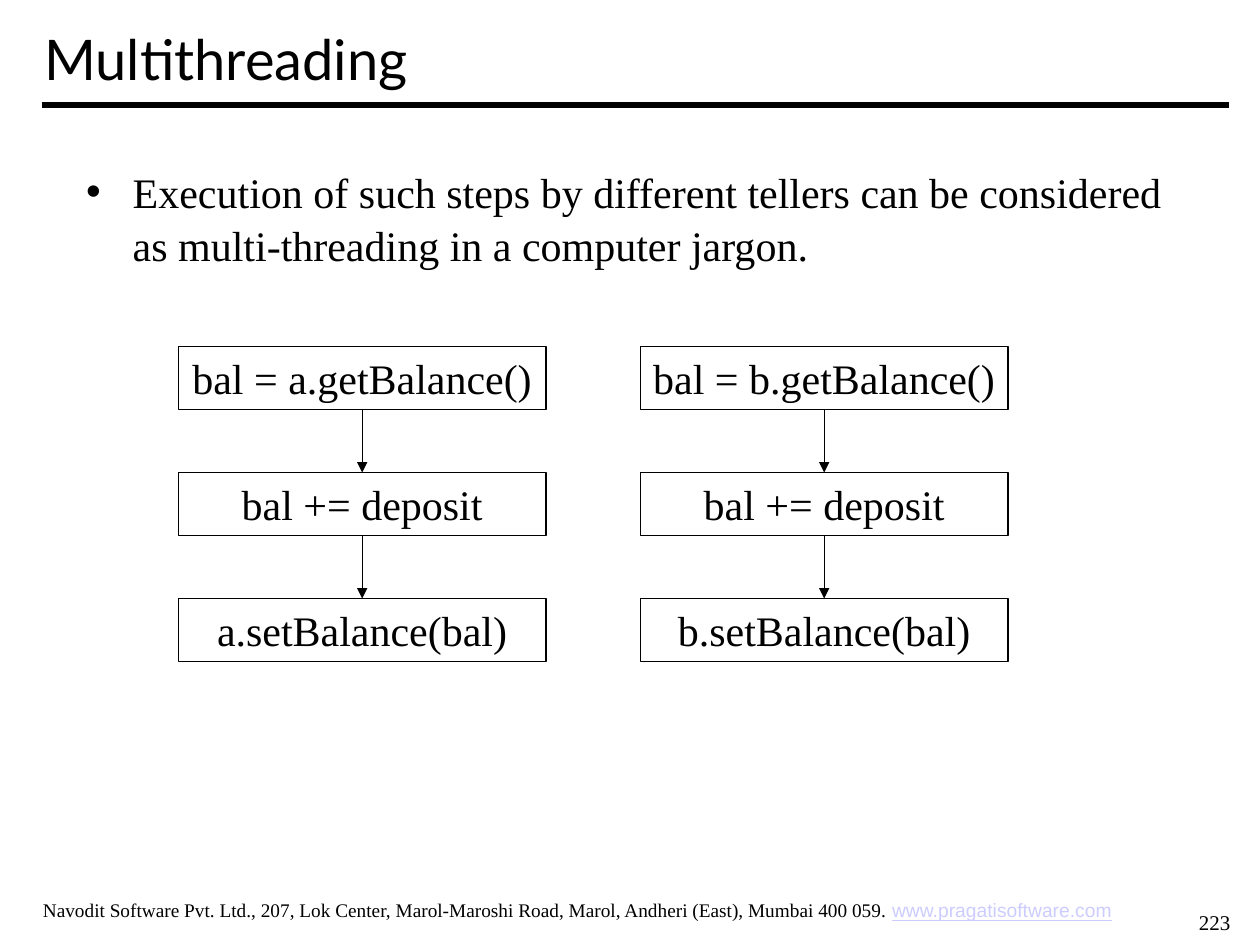
"""Build the Multithreading slide with two columns of account steps."""
from lxml import etree
from pptx import Presentation
from pptx.dml.color import RGBColor
from pptx.enum.shapes import MSO_CONNECTOR, MSO_SHAPE
from pptx.enum.text import MSO_ANCHOR, MSO_AUTO_SIZE, PP_ALIGN
from pptx.oxml.ns import qn
from pptx.util import Inches, Pt

STRAIGHT, RECT = MSO_CONNECTOR.STRAIGHT, MSO_SHAPE.RECTANGLE
MIDDLE, TOP = MSO_ANCHOR.MIDDLE, MSO_ANCHOR.TOP
LEFT, CENTER = PP_ALIGN.LEFT, PP_ALIGN.CENTER
NO_FIT = MSO_AUTO_SIZE.NONE

THEME = {
    "ink": RGBColor(0, 0, 0), "paper": RGBColor(255, 255, 255),
    "link": RGBColor(0xCC, 0xCC, 0xFF),
    "heading": "Lato", "text": "Times New Roman", "web": "Arial",
    "title": Pt(32), "body": Pt(24), "number": Pt(12), "footer": Pt(11),
    "rule": Pt(3), "thin": Pt(0.75),
}

prs = Presentation()
prs.slide_width, prs.slide_height = Inches(10), Inches(7.5)
U = prs.slide_width // 120
s = prs.slides.add_slide(prs.slide_layouts[1])


def write(sp, text, size, font="text", align=LEFT, anchor=TOP, wrap=True):
    tf = sp.text_frame
    tf.text = text
    tf.auto_size, tf.word_wrap, tf.vertical_anchor = NO_FIT, wrap, anchor
    p = tf.paragraphs[0]
    p.alignment, p.space_before = align, Pt(0)
    f = p.runs[0].font
    f.name, f.size, f.color.rgb = THEME[font], THEME[size], THEME["ink"]
    return p


def add_line(x1, y1, x2, y2, weight):
    ends = [int(v * U) for v in (x1, y1, x2, y2)]
    line = s.shapes.add_connector(STRAIGHT, *ends)
    line.line.color.rgb, line.line.width = THEME["ink"], THEME[weight]
    etree.SubElement(line._element.spPr, qn("a:effectLst"))
    return line


add_line(4, 10, 117, 10, "rule")

footer = s.shapes.add_textbox(0, 85 * U, 110 * U, int(3.5 * U))
p = write(footer, "Navodit Software Pvt. Ltd., 207, Lok Center, Marol-Maroshi Road, "
          "Marol, Andheri (East), Mumbai 400 059. ", "footer", align=CENTER)
r = p.add_run()
r.text = "www.pragatisoftware.com"
r.font.name, r.font.size, r.font.underline = THEME["web"], THEME["footer"], True
r.font.color.rgb = THEME["link"]

number = s.shapes.add_textbox(113 * U, 86 * U, int(6.5 * U), int(3.6 * U))
write(number, "223", "number")

title, body = s.placeholders
title.left, title.top, title.width, title.height = 3 * U, 0, 114 * U, 11 * U
write(title, "Multithreading", "title", "heading", anchor=MIDDLE)

body.left, body.top, body.width, body.height = 7 * U, 15 * U, 106 * U, 69 * U
p = write(body, "Execution of such steps by different tellers can be considered "
          "as multi-threading in a computer jargon.", "body")
p.line_spacing = 1.05
pPr = p._p.get_or_add_pPr()
pPr.set("marL", str(Inches(0.37)))
pPr.set("indent", str(-Inches(0.37)))
etree.SubElement(pPr, qn("a:buChar")).set("char", "•")

for account, x in (("a", 17), ("b", 61)):
    steps = (f"bal = {account}.getBalance()", "bal += deposit",
             f"{account}.setBalance(bal)")
    above = None
    for row, step in enumerate(steps):
        y = 33 + 12 * row
        box = s.shapes.add_shape(RECT, x * U, y * U, 35 * U, 6 * U)
        box.shadow.inherit = False
        box.fill.solid()
        box.fill.fore_color.rgb = THEME["paper"]
        box.line.color.rgb, box.line.width = THEME["ink"], THEME["thin"]
        write(box, step, "body", align=CENTER, anchor=MIDDLE, wrap=False)
        if above:
            arrow = add_line(x + 17.5, y - 6, x + 17.5, y, "thin")
            arrow.begin_connect(above, 2)
            arrow.end_connect(box, 0)
            ln = arrow._element.spPr.find(qn("a:ln"))
            etree.SubElement(ln, qn("a:tailEnd")).set("type", "triangle")
        above = box

prs.save("out.pptx")
